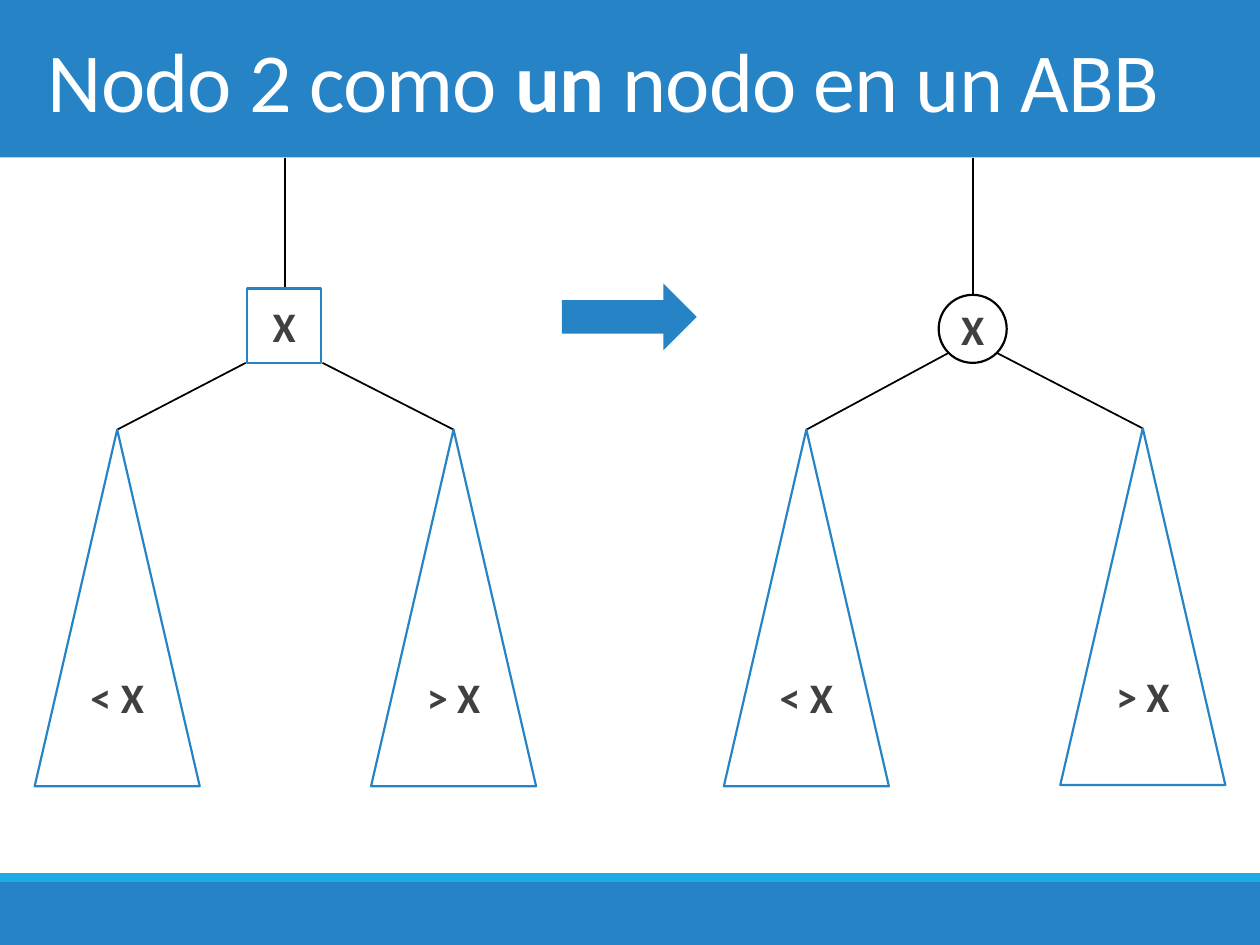
from typing import NamedTuple

from lxml import etree
from pptx import Presentation
from pptx.dml.color import RGBColor
from pptx.enum.shapes import MSO_CONNECTOR, MSO_SHAPE
from pptx.enum.text import MSO_ANCHOR, MSO_AUTO_SIZE, PP_ALIGN
from pptx.oxml.ns import qn
from pptx.util import Inches, Pt

RECT = MSO_SHAPE.RECTANGLE
OVAL = MSO_SHAPE.OVAL
TRIANGLE = MSO_SHAPE.ISOSCELES_TRIANGLE
ARROW = MSO_SHAPE.RIGHT_ARROW
STRAIGHT = MSO_CONNECTOR.STRAIGHT
MIDDLE = MSO_ANCHOR.MIDDLE
LEFT, CENTER = PP_ALIGN.LEFT, PP_ALIGN.CENTER
NO_FIT = MSO_AUTO_SIZE.NONE

FONT = "Calibri"
COLORS = {
    "blue": "2683C6",
    "cyan": "1CADE4",
    "white": "FFFFFF",
    "black": "000000",
    "gray": "404040",
}
HEAD = 1.25
TREE_W, TREE_H = 1.31, 2.83


class Box(NamedTuple):
    kind: MSO_SHAPE
    x: float
    y: float
    w: float
    h: float
    fill: str
    line: str = ""
    text: str = ""


class Line(NamedTuple):
    x1: float
    y1: float
    x2: float
    y2: float


class Branch(NamedTuple):
    text: str
    start: float
    tip: float
    top: float


class Tree(NamedTuple):
    node: Box
    stem: float
    fork: float
    sides: tuple[Branch, Branch]


def color(name: str) -> RGBColor:
    return RGBColor.from_string(COLORS[name])


def style(run, size: float, ink: str, bold: bool) -> None:
    run.font.name = FONT
    run.font.size = Pt(size)
    run.font.bold = bold
    run.font.color.rgb = color(ink)


def draw_box(slide, box: Box) -> None:
    shape = slide.shapes.add_shape(
        box.kind, Inches(box.x), Inches(box.y), Inches(box.w), Inches(box.h)
    )
    shape.shadow.inherit = False
    shape.fill.solid()
    shape.fill.fore_color.rgb = color(box.fill)
    if box.line:
        shape.line.color.rgb = color(box.line)
        shape.line.width = Pt(1.25)
    else:
        shape.line.fill.background()
    if box.text:
        frame = shape.text_frame
        frame.text = box.text
        frame.word_wrap = False
        frame.vertical_anchor = MIDDLE
        para = frame.paragraphs[0]
        para.alignment = CENTER
        style(para.runs[0], 24, "gray", True)


def draw_line(slide, line: Line) -> None:
    link = slide.shapes.add_connector(STRAIGHT, *(Inches(v) for v in line))
    link.line.color.rgb = color("black")
    link.line.width = Pt(1)
    etree.SubElement(link._element.spPr, qn("a:effectLst"))


def draw_tree(slide, tree: Tree) -> None:
    node = tree.node
    draw_line(slide, Line(tree.stem, HEAD, tree.stem, node.y))
    for side in tree.sides:
        draw_line(slide, Line(side.start, tree.fork, side.tip, side.top))
        left = side.tip - TREE_W / 2
        draw_box(slide, Box(TRIANGLE, left, side.top, TREE_W, TREE_H,
                            "white", "blue", side.text))
    draw_box(slide, node)


def draw_title(slide) -> None:
    title = slide.shapes.title
    title.left, title.top = Inches(0.28), Inches(0)
    title.width, title.height = Inches(9.45), Inches(HEAD)
    frame = title.text_frame
    frame.auto_size = NO_FIT
    frame.word_wrap = True
    frame.vertical_anchor = MIDDLE
    para = frame.paragraphs[0]
    para.alignment = LEFT
    for text, bold in (("Nodo 2 como ", False), ("un", True),
                       (" nodo en un ABB", False)):
        run = para.add_run()
        run.text = text
        style(run, 48, "white", bold)
        run.font._element.set("spc", "-50")
    slide.shapes._spTree.append(title._element)


BANDS = (
    Box(RECT, 0, 0, 10, HEAD, "blue"),
    Box(RECT, 0, 7, 10, 0.5, "blue"),
    Box(RECT, 0, 6.93, 10, 0.07, "cyan"),
)
TREES = (
    Tree(Box(RECT, 1.96, 2.29, 0.59, 0.59, "white", "blue", "X"), 2.26, 2.88,
         (Branch("< X", 1.95, 0.93, 3.41), Branch("> X", 2.56, 3.6, 3.41))),
    Tree(Box(OVAL, 7.45, 2.34, 0.54, 0.54, "white", "black", "X"), 7.72, 2.8,
         (Branch("< X", 7.53, 6.4, 3.41), Branch("> X", 7.91, 9.07, 3.4))),
)

deck = Presentation()
deck.slide_width, deck.slide_height = Inches(10), Inches(7.5)
slide = deck.slides.add_slide(deck.slide_layouts[5])
for band in BANDS:
    draw_box(slide, band)
draw_title(slide)
for tree in TREES:
    draw_tree(slide, tree)
draw_box(slide, Box(ARROW, 4.46, 2.25, 1.07, 0.53, "blue"))
deck.save("out.pptx")
